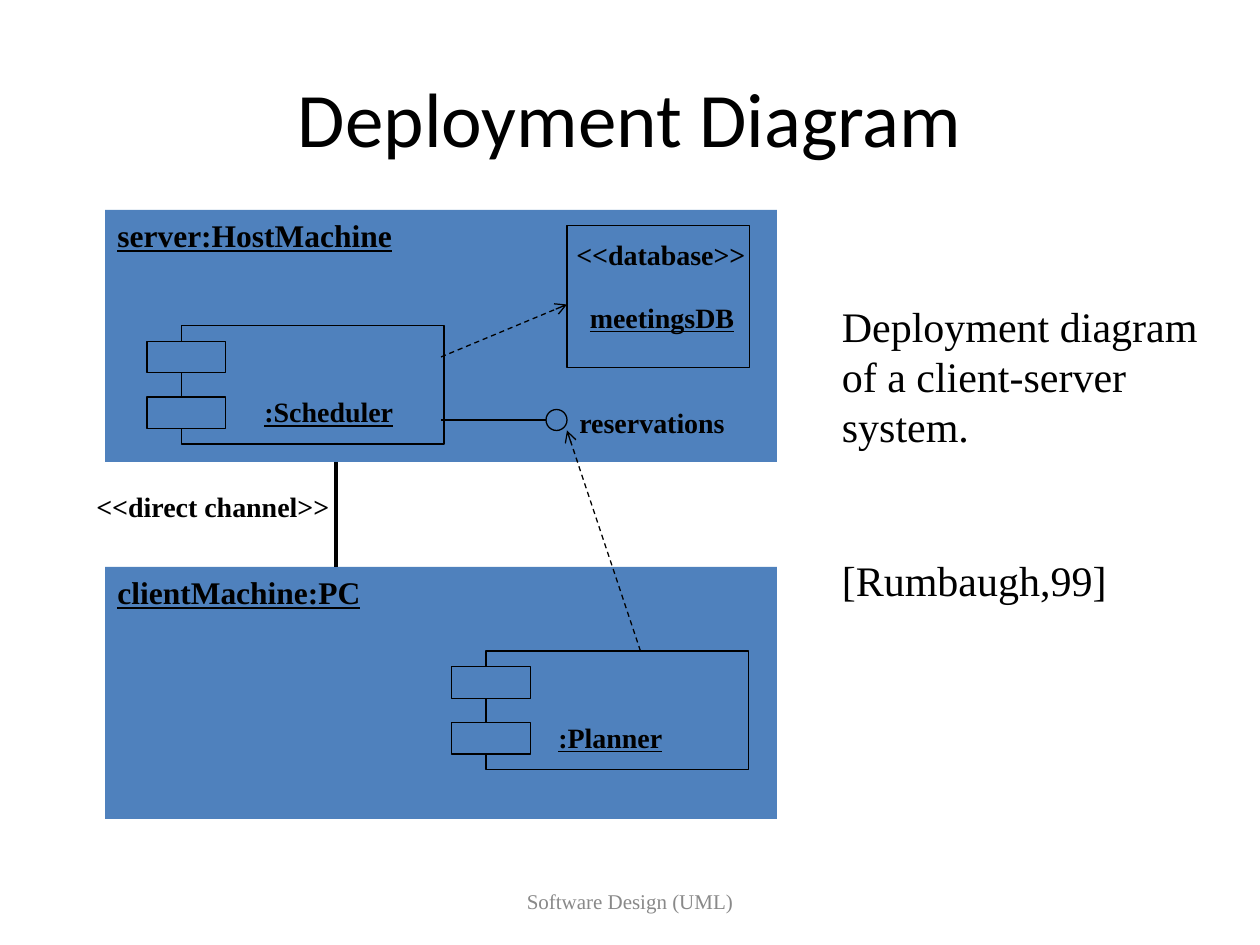
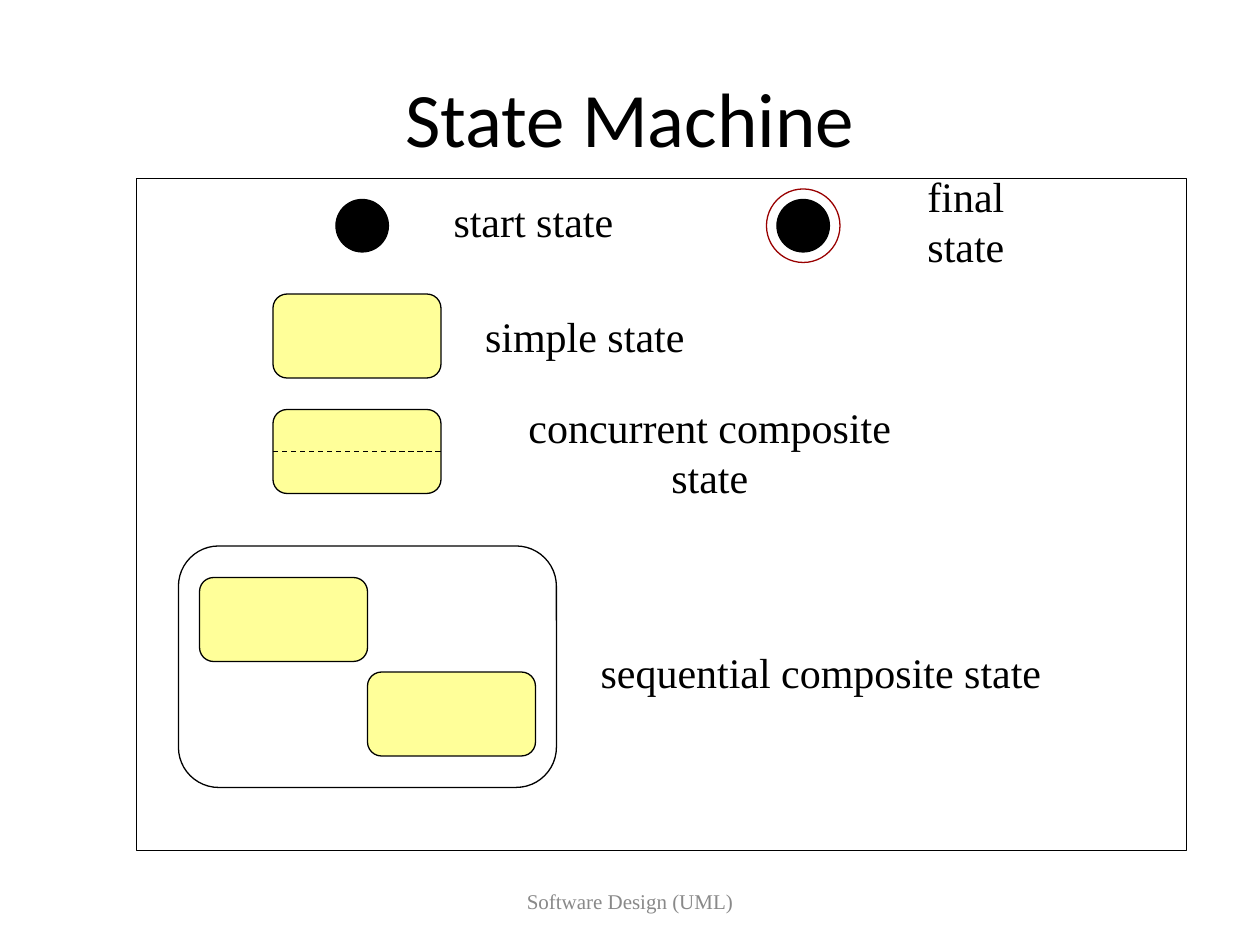
import pptx
import pptx.dml.color
import pptx.enum.dml
import pptx.enum.shapes
import pptx.enum.text
import pptx.oxml.ns
import pptx.slide
import pptx.util
from lxml import etree
from typing import Any, NamedTuple, Optional

SCALE = 7620  # EMU in one px, 120 px to the inch
BLACK, GREY, RED = "000000", "898989", "990000"
BLUE, YELLOW = "4F81BD", "FFFF99"
SERIF, SANS = "Times New Roman", "Calibri"
FOOTER = "Software Design (UML)"

Kind = pptx.enum.shapes.MSO_SHAPE
Align = pptx.enum.text.PP_ALIGN
Anchor = pptx.enum.text.MSO_ANCHOR
Slide = pptx.slide.Slide


class Area(NamedTuple):
    left: int
    top: int
    width: int
    height: int


class Point(NamedTuple):
    x: int
    y: int


class Box(NamedTuple):
    area: Area
    fill: Optional[str] = None
    line: Optional[str] = BLACK
    kind: Any = Kind.RECTANGLE


class Label(NamedTuple):
    text: str
    area: Area
    size: int = 16
    bold: bool = True
    under: bool = False
    color: str = BLACK
    align: Any = Align.LEFT
    anchor: Any = Anchor.TOP
    wrap: bool = True


class Link(NamedTuple):
    start: Point
    end: Point
    weight: float = 0.75
    dash: bool = False
    arrow: bool = False


def px(value: int) -> pptx.util.Emu:
    return pptx.util.Emu(value * SCALE)


def lengths(area: Area) -> list[pptx.util.Emu]:
    return [px(value) for value in area]


def paint(target: Any, color: str) -> None:
    """Set the colour of a font, a line or a solid fill."""
    rgb = pptx.dml.color.RGBColor.from_string(color)
    if hasattr(target, "fore_color"):
        target.fore_color.rgb = rgb
    else:
        target.color.rgb = rgb


def add_run(para: Any, text: str, size: int, color: str = BLACK, face: str = SERIF) -> Any:
    run = para.add_run()
    run.text = text
    run.font.name = face
    run.font.size = pptx.util.Pt(size)
    paint(run.font, color)
    return run


def add_label(slide: Slide, label: Label) -> Any:
    frame = slide.shapes.add_textbox(*lengths(label.area)).text_frame
    frame.word_wrap = label.wrap
    frame.vertical_anchor = label.anchor
    para = frame.paragraphs[0]
    para.alignment = label.align
    run = add_run(para, label.text, label.size, label.color)
    run.font.bold = label.bold
    run.font.underline = label.under
    return frame


def add_box(slide: Slide, box: Box) -> Any:
    shape = slide.shapes.add_shape(box.kind, *lengths(box.area))
    shape.shadow.inherit = False
    if box.fill:
        shape.fill.solid()
        paint(shape.fill, box.fill)
    else:
        shape.fill.background()
    if box.line:
        paint(shape.line, box.line)
        shape.line.width = pptx.util.Pt(0.75)
    else:
        shape.line.fill.background()
    return shape


def add_link(slide: Slide, link: Link) -> Any:
    straight = pptx.enum.shapes.MSO_CONNECTOR.STRAIGHT
    ends = [px(value) for value in (*link.start, *link.end)]
    line = slide.shapes.add_connector(straight, *ends)
    paint(line.line, BLACK)
    line.line.width = pptx.util.Pt(link.weight)
    if link.dash:
        line.line.dash_style = pptx.enum.dml.MSO_LINE.DASH
    qn = pptx.oxml.ns.qn
    props = line._element.spPr
    if link.arrow:
        etree.SubElement(props.find(qn("a:ln")), qn("a:tailEnd"), type="arrow")
    etree.SubElement(props, qn("a:effectLst"))
    return line


def add_part(slide: Slide, left: int, top: int) -> None:
    """Draw a UML component: a body with two tabs over its left edge."""
    add_box(slide, Box(Area(left + 33, top, 250, 113), BLUE))
    for drop in (15, 68):
        add_box(slide, Box(Area(left, top + drop, 75, 30), BLUE))


def add_state(slide: Slide, left: int, top: int) -> Any:
    return add_box(slide, Box(Area(left, top, 160, 80), YELLOW, kind=Kind.ROUNDED_RECTANGLE))


def add_dot(slide: Slide, left: int) -> None:
    add_box(slide, Box(Area(left, 190, 50, 50), BLACK, kind=Kind.OVAL))


def new_slide(deck: Any, text: str) -> Slide:
    slide = deck.slides.add_slide(deck.slide_layouts[5])
    title = slide.shapes.title
    title.left, title.top, title.width, title.height = lengths(Area(60, 36, 1080, 150))
    title.text_frame.vertical_anchor = Anchor.MIDDLE
    para = title.text_frame.paragraphs[0]
    para.alignment = Align.CENTER
    add_run(para, text, 44, face=SANS)
    add_label(slide, Label(FOOTER, Area(410, 834, 380, 48), 12, False, color=GREY,
                           align=Align.CENTER, anchor=Anchor.MIDDLE))
    return slide


def draw_nodes(deck: Any) -> None:
    slide = new_slide(deck, "Deployment Diagram")
    for top in (540, 200):
        add_box(slide, Box(Area(100, top, 640, 240), BLUE, None))
    add_box(slide, Box(Area(540, 215, 174, 135), BLUE))
    add_part(slide, 430, 620)
    add_part(slide, 140, 310)
    add_box(slide, Box(Area(520, 390, 20, 20), BLUE, kind=Kind.OVAL))

    links = [
        Link(Point(320, 440), Point(320, 540), weight=2.25),
        Link(Point(520, 400), Point(420, 400)),
        Link(Point(420, 340), Point(540, 290), dash=True, arrow=True),
        Link(Point(610, 620), Point(540, 410), dash=True, arrow=True),
    ]
    for link in links:
        add_link(slide, link)

    labels = [
        Label("reservations", Area(540, 380, 260, 44)),
        Label("<<database>>", Area(537, 220, 210, 44)),
        Label("meetingsDB", Area(550, 280, 190, 44), under=True),
        Label(":Scheduler", Area(240, 370, 150, 44), under=True),
        Label(":Planner", Area(520, 680, 150, 44), under=True),
        Label("server:HostMachine", Area(100, 200, 340, 48), 18, under=True),
        Label("clientMachine:PC", Area(100, 540, 340, 48), 18, under=True),
        Label("<<direct channel>>", Area(80, 460, 260, 44)),
    ]
    for label in labels:
        add_label(slide, label)

    note = add_label(slide, Label("Deployment diagram of a client-server system.",
                                  Area(790, 280, 370, 302), 24, False))
    source = note.add_paragraph()
    source.space_before = pptx.util.Pt(58.8)
    add_run(source, "[Rumbaugh,99]", 24)
    for para in note.paragraphs:
        para.line_spacing = pptx.util.Pt(28.8)


def draw_states(deck: Any) -> None:
    slide = new_slide(deck, "State Machine")
    add_box(slide, Box(Area(130, 170, 1000, 640)))
    for left in (320, 740):
        add_dot(slide, left)
    add_box(slide, Box(Area(730, 180, 70, 70), line=RED, kind=Kind.OVAL))

    add_state(slide, 260, 280)
    split = add_state(slide, 260, 390)
    middle = add_link(slide, Link(Point(260, 430), Point(420, 430), dash=True))
    middle.begin_connect(split, 1)
    middle.end_connect(split, 3)

    add_box(slide, Box(Area(170, 520, 360, 230), kind=Kind.ROUNDED_RECTANGLE))
    add_state(slide, 190, 550)
    add_state(slide, 350, 640)

    names = {
        "start state": Area(420, 180, 176, 60),
        "final state": Area(830, 180, 180, 60),
        "simple state": Area(450, 290, 214, 60),
        "concurrent composite state": Area(450, 400, 452, 60),
        "sequential composite state": Area(560, 610, 444, 60),
    }
    for text, area in names.items():
        add_label(slide, Label(text, area, 24, False, align=Align.CENTER,
                               anchor=Anchor.MIDDLE, wrap=False))


def main() -> None:
    deck = pptx.Presentation()
    deck.slide_width, deck.slide_height = px(1200), px(900)
    draw_nodes(deck)
    draw_states(deck)
    deck.save("out.pptx")


if __name__ == "__main__":
    main()
